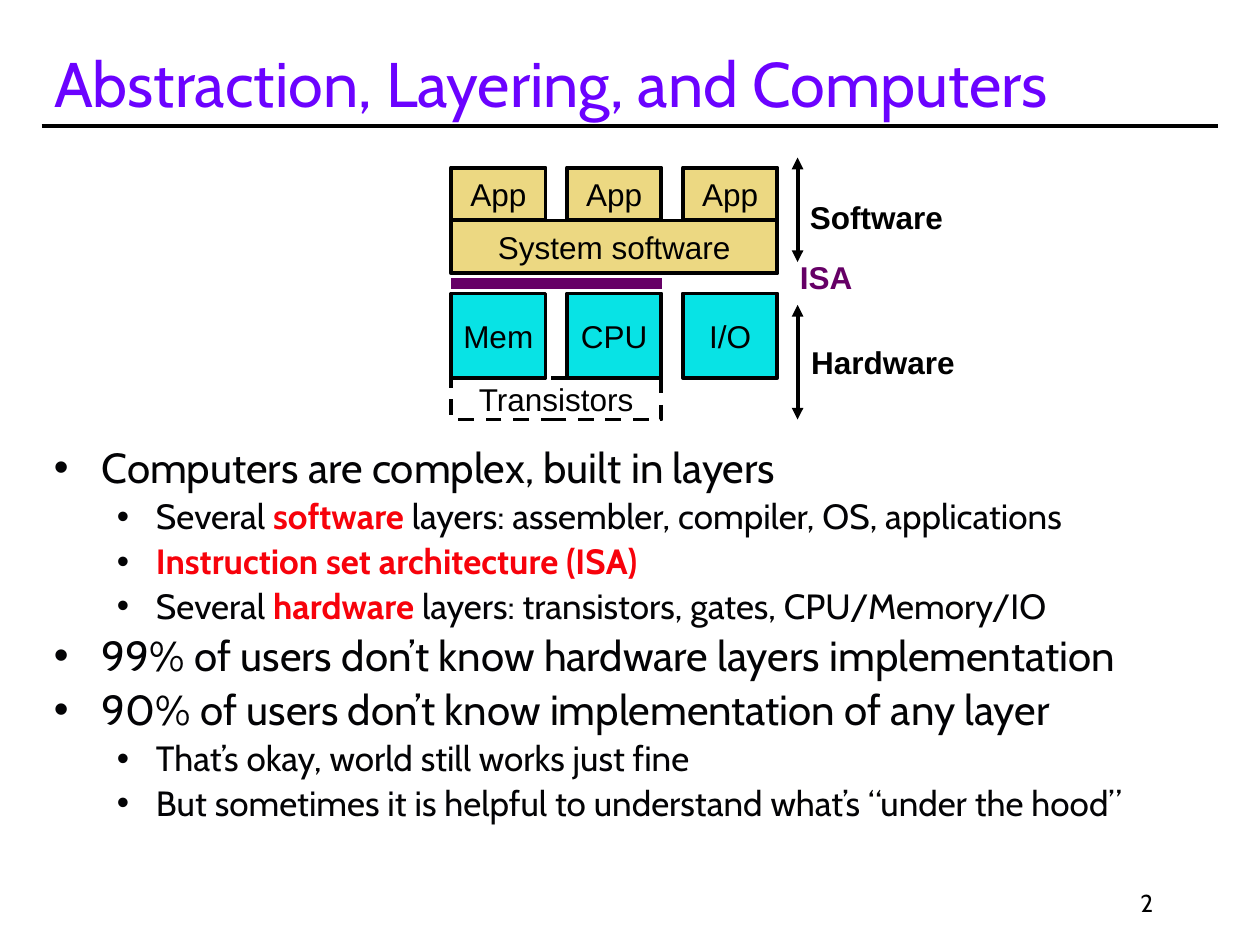
"""Build a slide on abstraction and layering in computers."""
from dataclasses import dataclass

from lxml import etree
from pptx import Presentation
from pptx import util as u
from pptx.dml.color import RGBColor
from pptx.enum import dml, shapes, text
from pptx.oxml.ns import qn


@dataclass(frozen=True)
class Theme:
    head: str = "Cabin"
    label: str = "Arial"
    black: str = "000000"
    ink: str = "030305"
    title: str = "6B02FF"
    key: str = "F7020B"
    isa: str = "660066"
    soft: str = "ECD882"
    hard: str = "08E3E5"
    big: int = 36
    body: tuple = (24, 20)
    mid: int = 18
    small: int = 14
    line: float = 2.25
    bar: float = 6


def write(para, words, font, size, color, key=None, bold=False, align=None):
    """Fill a paragraph; parts between asterisks are bold in the key colour."""
    para.alignment = align
    for i, part in enumerate(words.split("*")):
        if part:
            run = para.add_run()
            run.text = part
            run.font.name = font
            run.font.size = u.Pt(size)
            run.font.bold = bold or i % 2 == 1
            run.font.color.rgb = RGBColor.from_string(key if i % 2 else color)


def bullet(para, level, color):
    """Give a paragraph its level, indent and round bullet."""
    left, hang = ((0.38, 0.38), (0.81, 0.31))[level]
    para.level = level
    props = para._p.get_or_add_pPr()
    props.set("marL", str(u.Inches(left)))
    props.set("indent", str(-u.Inches(hang)))
    tint = etree.SubElement(props, qn("a:buClr"))
    etree.SubElement(tint, qn("a:srgbClr"), val=color)
    etree.SubElement(props, qn("a:buFont"), typeface="Arial")
    etree.SubElement(props, qn("a:buChar"), char="•")


class Deck:
    """Hold the style and the current slide."""

    def __init__(self, theme):
        self.theme = theme
        self.file = Presentation()
        self.file.slide_width = u.Inches(10)
        self.file.slide_height = u.Inches(7.5)
        self.slide = self.file.slides.add_slide(self.file.slide_layouts[5])

    def title(self, words, x, y, w, h):
        t = self.theme
        shape = self.slide.shapes.title
        shape.left, shape.top = u.Inches(x), u.Inches(y)
        shape.width, shape.height = u.Inches(w), u.Inches(h)
        frame = shape.text_frame
        frame.auto_size = text.MSO_AUTO_SIZE.NONE
        frame.vertical_anchor = text.MSO_ANCHOR.BOTTOM
        write(frame.paragraphs[0], words, t.head, t.big, t.title,
              align=text.PP_ALIGN.LEFT)

    def frame(self, x, y, w, h, wrap=True, anchor=text.MSO_ANCHOR.TOP):
        box = self.slide.shapes.add_textbox(*map(u.Inches, (x, y, w, h)))
        box.text_frame.word_wrap = wrap
        box.text_frame.vertical_anchor = anchor
        return box.text_frame

    def label(self, words, x, y, w, color):
        t = self.theme
        frame = self.frame(x, y, w, 0.4, wrap=False)
        write(frame.paragraphs[0], words, t.label, t.mid, color, bold=True)

    def number(self, words, x, y, w, h):
        t = self.theme
        frame = self.frame(x, y, w, h, anchor=text.MSO_ANCHOR.BOTTOM)
        write(frame.paragraphs[0], words, t.head, t.small, t.black,
              align=text.PP_ALIGN.RIGHT)

    def bullets(self, items, x, y, w, h):
        t = self.theme
        frame = self.frame(x, y, w, h)
        for i, (level, words) in enumerate(items):
            para = frame.add_paragraph() if i else frame.paragraphs[0]
            size = t.body[level]
            bullet(para, level, t.ink)
            para.line_spacing = 0.9
            if i:
                para.space_before = u.Pt(size * 0.2)
            write(para, words, t.head, size, t.ink, key=t.key)

    def block(self, words, x, y, w, h, fill=None):
        t = self.theme
        box = self.slide.shapes.add_shape(
            shapes.MSO_SHAPE.RECTANGLE, *map(u.Inches, (x, y, w, h)))
        box.shadow.inherit = False
        if fill:
            box.fill.solid()
            box.fill.fore_color.rgb = RGBColor.from_string(fill)
        else:
            box.fill.background()
            box.line.dash_style = dml.MSO_LINE.DASH
        box.line.color.rgb = RGBColor.from_string(t.black)
        box.line.width = u.Pt(t.line)
        frame = box.text_frame
        frame.word_wrap = False
        frame.vertical_anchor = text.MSO_ANCHOR.MIDDLE
        write(frame.paragraphs[0], words, t.label, t.mid, t.black,
              align=text.PP_ALIGN.CENTER)

    def rule(self, x, y, to_x, to_y, color, width, arrows=False):
        rule = self.slide.shapes.add_connector(
            shapes.MSO_CONNECTOR.STRAIGHT, *map(u.Inches, (x, y, to_x, to_y)))
        rule.line.color.rgb = RGBColor.from_string(color)
        rule.line.width = u.Pt(width)
        if arrows:
            for end in ("a:headEnd", "a:tailEnd"):
                etree.SubElement(rule.line._ln, qn(end), type="triangle")
        etree.SubElement(rule._element.spPr, qn("a:effectLst"))


BULLETS = (
    (0, "Computers are complex, built in layers"),
    (1, "Several *software* layers: assembler, compiler, OS, applications"),
    (1, "*Instruction set architecture (ISA)*"),
    (1, "Several *hardware* layers: transistors, gates, CPU/Memory/IO"),
    (0, "99% of users don’t know hardware layers implementation"),
    (0, "90% of users don’t know implementation of any layer"),
    (1, "That’s okay, world still works just fine"),
    (1, "But sometimes it is helpful to understand what’s “under the hood”"),
)


def main():
    t = Theme()
    deck = Deck(t)
    deck.title("Abstraction, Layering, and Computers", 0.33, 0.25, 9.33, 0.75)
    deck.rule(0.33, 1, 9.67, 1, t.black, t.line)
    deck.number("2", 7.17, 7, 2.08, 0.33)
    deck.bullets(BULLETS, 0.33, 3.5, 9.33, 3.33)

    left, step, wide = 3.58, 0.92, 0.75
    deck.rule(left, 2.25, 5.25, 2.25, t.isa, t.bar)
    for i, part in enumerate(("Mem", "CPU", "I/O")):
        x = left + i * step
        deck.block("App", x, 1.33, wide, 0.42, t.soft)
        deck.block(part, x, 2.33, wide, 0.67, t.hard)
    deck.block("System software", left, 1.75, 2 * step + wide, 0.42, t.soft)
    deck.block("Transistors", left, 3, step + wide, 0.33)

    for top, end in ((1.25, 2.08), (2.42, 3.33)):
        deck.rule(6.33, top, 6.33, end, t.black, t.line, arrows=True)
    deck.label("Software", 6.33, 1.52, 1.26, t.black)
    deck.label("ISA", 6.25, 2, 0.62, t.isa)
    deck.label("Hardware", 6.34, 2.67, 1.34, t.black)
    deck.file.save("out.pptx")


if __name__ == "__main__":
    main()
